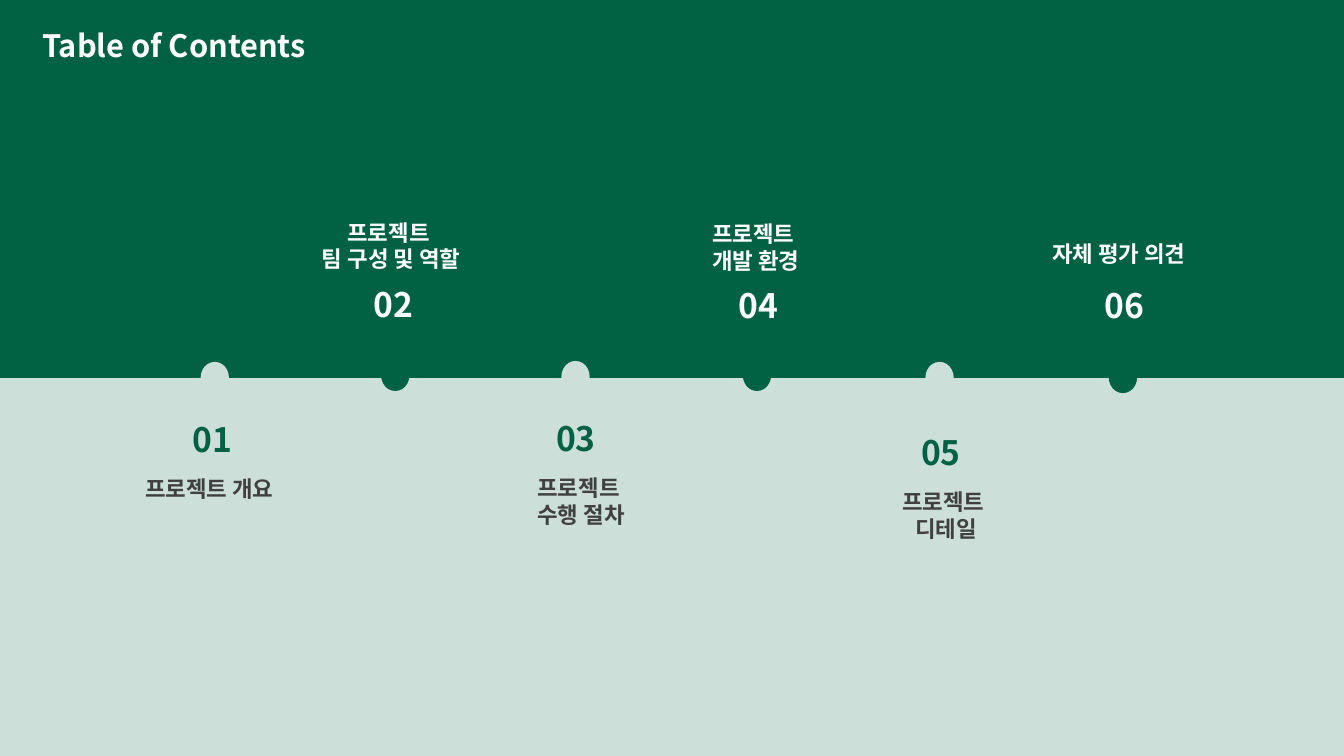
from pptx import Presentation
from pptx.dml.color import RGBColor
from pptx.enum.shapes import MSO_SHAPE
from pptx.enum.text import MSO_ANCHOR, MSO_AUTO_SIZE, PP_ALIGN
from pptx.oxml.ns import qn
from pptx.util import Pt
from lxml import etree

RECTANGLE, OVAL = MSO_SHAPE.RECTANGLE, MSO_SHAPE.OVAL
LEFT, CENTER = PP_ALIGN.LEFT, PP_ALIGN.CENTER
TOP, GROW = MSO_ANCHOR.TOP, MSO_AUTO_SIZE.SHAPE_TO_FIT_TEXT

GREEN, MINT, WHITE, GRAY = "006242", "CCDFD9", "FFFFFF", "404040"

# Lines, alignment, dot (x, y), number (x, y), label (x, y)
CHAPTERS = [
    (["프로젝트 개요"], LEFT, (143.3, 258.5), (130.3, 295.9), (96.5, 339.1)),
    (["프로젝트 ", "팀 구성 및 역할"], CENTER, (272.2, 257), (259.9, 199.4), (214.6, 156.2)),
    (["프로젝트 ", "수행 절차"], CENTER, (401, 257.8), (390.2, 295.2), (355.7, 338.4)),
    (["프로젝트 ", "개발 환경"], CENTER, (530.6, 257), (520.6, 200.2), (475.2, 157)),
    (["프로젝트 ", "디테일"], CENTER, (661, 258.5), (650.9, 305.3), (616.3, 348.5)),
    (["자체 평가 의견"], CENTER, (792, 258.5), (781.9, 200.2), (734.4, 171.4)),
]


def color(hex_string):
    return RGBColor.from_string(hex_string)


class ContentsSlide:
    font_name = "Noto Sans CJK KR"

    def __init__(self, presentation):
        self.slide = presentation.slides.add_slide(presentation.slide_layouts[6])

    def shape(self, kind, left, top, width, height, fill, opacity=100):
        shape = self.slide.shapes.add_shape(kind, Pt(left), Pt(top), Pt(width), Pt(height))
        shape.shadow.inherit = False
        shape.line.fill.background()
        shape.fill.solid()
        shape.fill.fore_color.rgb = color(fill)
        if opacity < 100:
            fill_color = shape.fill._xPr.find(qn("a:solidFill"))[0]
            etree.SubElement(fill_color, qn("a:alpha")).set("val", str(opacity * 1000))

    def text(self, lines, left, top, width, height, size=16, fill=WHITE,
             align=LEFT, inset=0):
        """Add a bold text box with one paragraph per line; inset is vertical."""
        box = self.slide.shapes.add_textbox(Pt(left), Pt(top), Pt(width), Pt(height))
        frame = box.text_frame
        frame.word_wrap = True
        frame.auto_size = GROW
        frame.vertical_anchor = TOP
        frame.margin_top = frame.margin_bottom = Pt(inset)
        for index, line in enumerate(lines):
            paragraph = frame.paragraphs[0] if index == 0 else frame.add_paragraph()
            paragraph.alignment = align
            run = paragraph.add_run()
            run.text = line
            run.font.name = self.font_name
            run.font.size = Pt(size)
            run.font.bold = True
            run.font.color.rgb = color(fill)
            east_asian = etree.SubElement(run.font._element, qn("a:ea"))
            east_asian.set("typeface", self.font_name)

    def chapter(self, number, lines, align, dot, number_position, label_position):
        above = number % 2 == 0
        self.shape(OVAL, *dot, 20.2, 22.3, GREEN if above else MINT)
        self.text(lines, *label_position, 129.6 if above else 118.8, 20 * len(lines),
                  fill=WHITE if above else GRAY, align=align)
        self.text([f"{number:02}"], *number_position, 43.2, 38.9, size=24,
                  fill=WHITE if above else GREEN, inset=3.6)


def main():
    presentation = Presentation()
    presentation.slide_width, presentation.slide_height = Pt(960), Pt(540)
    contents = ContentsSlide(presentation)
    contents.shape(RECTANGLE, 0, -2.2, 961.2, 272.2, GREEN)
    contents.shape(RECTANGLE, 0, 269.3, 961.9, 270.7, GREEN, opacity=20)
    contents.text(["Table of Contents"], 23, 19.4, 205, 26.6, size=22)
    for number, chapter in enumerate(CHAPTERS, start=1):
        contents.chapter(number, *chapter)
    presentation.save("out.pptx")


if __name__ == "__main__":
    main()
